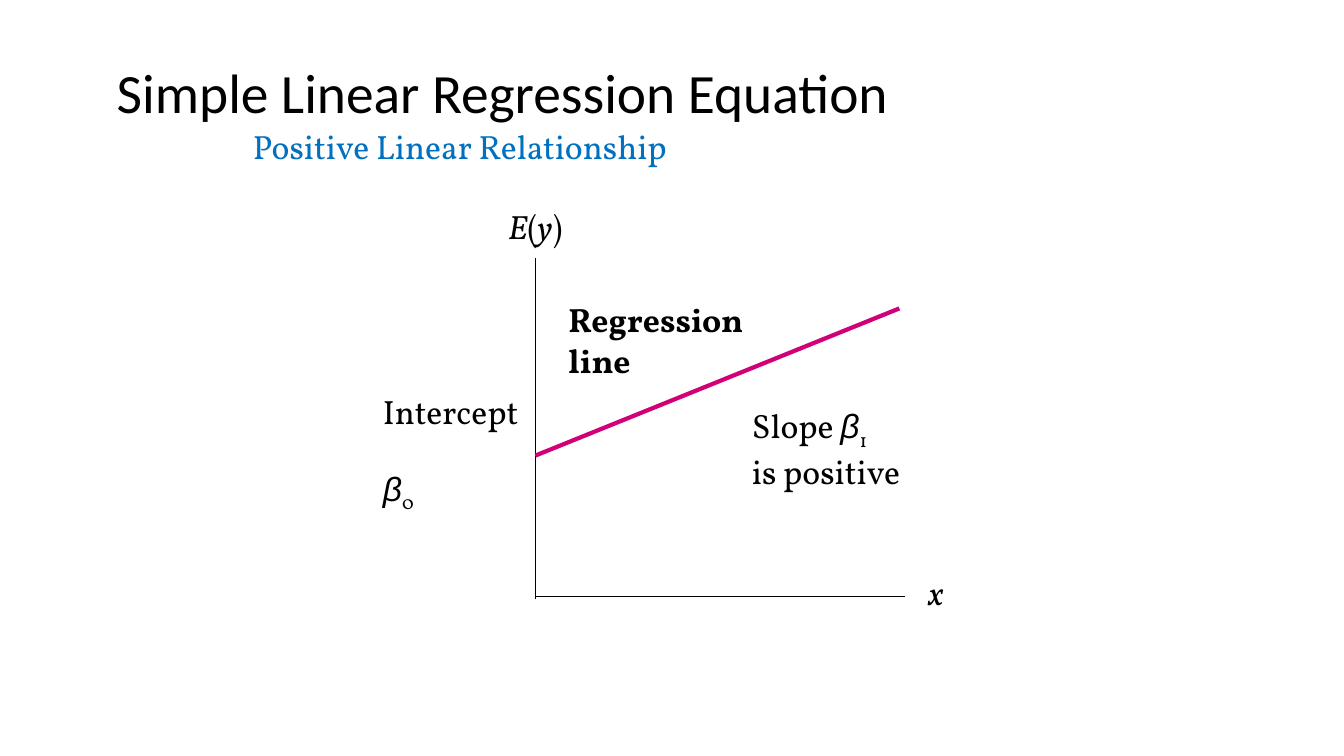
from lxml.etree import SubElement
from pptx import Presentation
from pptx.dml.color import RGBColor
from pptx.enum.shapes import MSO_CONNECTOR
from pptx.enum.text import MSO_ANCHOR
from pptx.oxml.ns import qn
from pptx.util import Inches, Pt

BLACK = RGBColor(0x00, 0x00, 0x00)
BLUE = RGBColor(0x00, 0x70, 0xC0)
MAGENTA = RGBColor(0xD2, 0x00, 0x78)

BODY = {"name": "Vollkorn", "size": Pt(24)}
TITLE = {"name": "Calibri", "size": Pt(39.6)}
ITALIC = {"italic": True}
BOLD = {"bold": True}
GREEK = {"name": "Arial", "italic": True}
SUBSCRIPT = {"baseline": -25}

ORIGIN_X, AXIS_Y = 5.31, 5.92

LINES = [
    ((ORIGIN_X, 2.56), (ORIGIN_X, 5.94), BLACK, 0.5),
    ((8.98, AXIS_Y), (ORIGIN_X, AXIS_Y), BLACK, 0.5),
    ((ORIGIN_X, 4.52), (8.92, 3.06), MAGENTA, 3),
]

LABELS = [
    ((1.06, 0.5, 8.5, 0.89), MSO_ANCHOR.MIDDLE, BLACK, [
        ({"line_spacing": 0.9}, [("Simple Linear Regression Equation", TITLE)]),
    ]),
    ((2.41, 1.2, 8.5, 5.04), MSO_ANCHOR.TOP, BLUE, [
        ({}, [("Positive Linear Relationship", {})]),
    ]),
    ((4.94, 1.99, 0.79, 0.5), MSO_ANCHOR.TOP, BLACK, [
        ({}, [("E", ITALIC), ("(", {}), ("y", ITALIC), (")", {})]),
    ]),
    ((9.11, 5.62, 0.37, 0.5), MSO_ANCHOR.TOP, BLACK, [
        ({}, [("x", ITALIC)]),
    ]),
    ((7.36, 3.97, 1.71, 0.91), MSO_ANCHOR.TOP, BLACK, [
        ({}, [("Slope ", {}), ("β", GREEK), ("1", SUBSCRIPT)]),
        ({}, [("is positive", {})]),
    ]),
    ((5.54, 2.92, 2.56, 0.9), MSO_ANCHOR.TOP, BLACK, [
        ({}, [("Regression", BOLD)]),
        ({"line_spacing": Pt(28.8)}, [("line", BOLD)]),
    ]),
    ((3.7, 3.83, 1.59, 1.3), MSO_ANCHOR.TOP, BLACK, [
        ({}, [("Intercept", {})]),
        ({"space_before": Pt(26)}, [("β", GREEK), ("0", SUBSCRIPT)]),
    ]),
]


def apply(target, values):
    for key, value in values.items():
        setattr(target, key, value)


def add_line(page, start, end, color, width):
    line = page.shapes.add_connector(
        MSO_CONNECTOR.STRAIGHT, *(Inches(value) for value in start + end))
    line.line.color.rgb = color
    line.line.width = Pt(width)
    SubElement(line._element.spPr, qn("a:effectLst"))


def add_label(page, place, anchor, color, paragraphs):
    box = page.shapes.add_textbox(*(Inches(value) for value in place))
    frame = box.text_frame
    apply(frame, {"word_wrap": True, "vertical_anchor": anchor})
    for index, (spacing, spans) in enumerate(paragraphs):
        para = frame.add_paragraph() if index else frame.paragraphs[0]
        apply(para, spacing)
        for text, style in spans:
            span = para.add_run()
            span.text = text
            font = {**BODY, **style}
            baseline = font.pop("baseline", 0)
            apply(span.font, font)
            span.font.color.rgb = color
            if baseline:
                span.font._element.set("baseline", str(baseline * 1000))


def main():
    deck = Presentation()
    deck.slide_width, deck.slide_height = Inches(13.33), Inches(7.5)
    page = deck.slides.add_slide(deck.slide_layouts[6])
    for line in LINES:
        add_line(page, *line)
    for label in LABELS:
        add_label(page, *label)
    deck.save("out.pptx")


if __name__ == "__main__":
    main()
